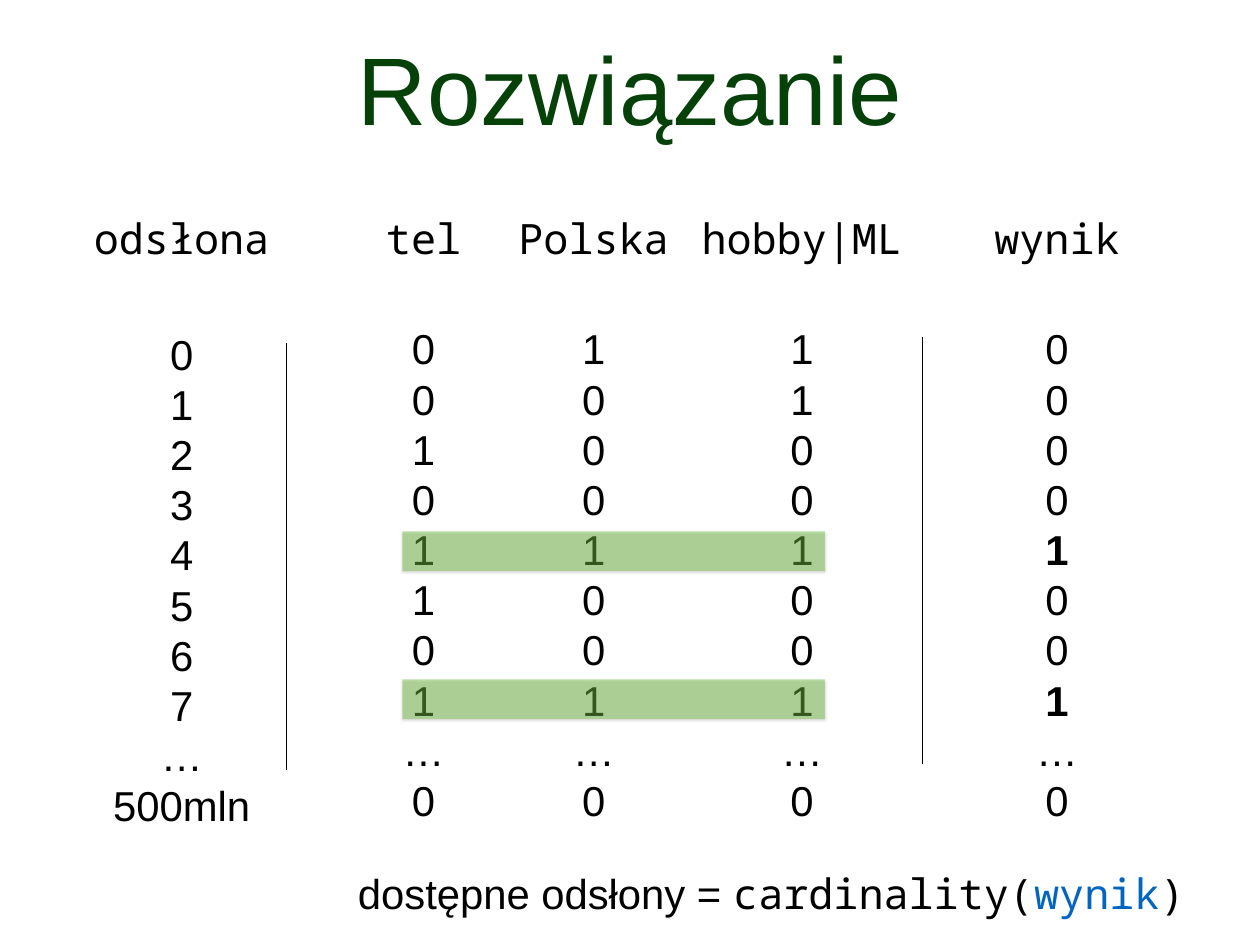
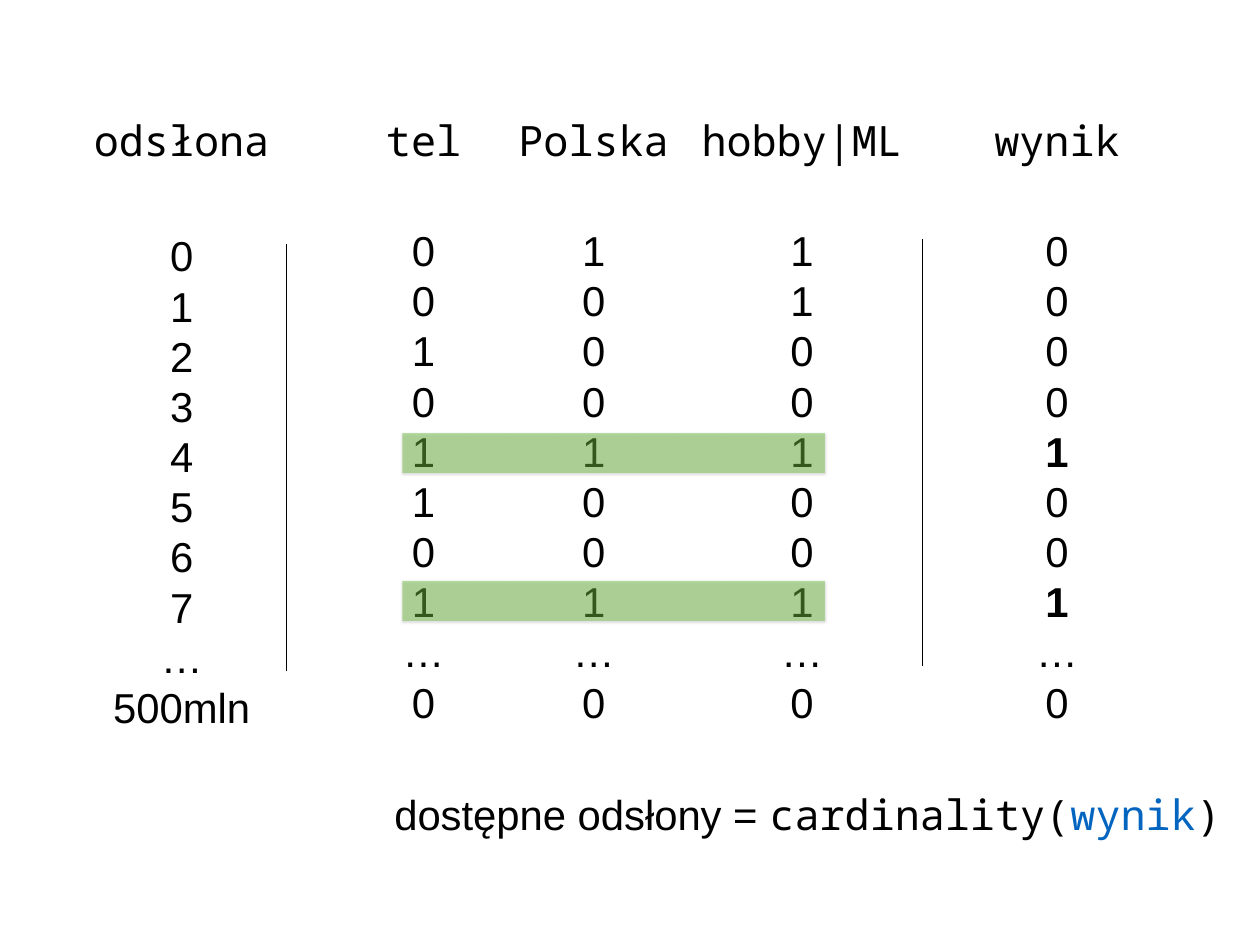
from lxml import etree
from pptx import Presentation, util as u
from pptx.dml.color import RGBColor
from pptx.enum import shapes, text
from pptx.oxml import ns

SANS, MONO = "Arial", "Noto Sans Mono"
BLACK, TITLE, BLUE, GREEN = "000000", "054109", "0365C0", "70BF41"
CENTER, LEFT = text.PP_ALIGN.CENTER, text.PP_ALIGN.LEFT
COLUMNS = [
    ("odsłona", "0 1 2 3 4 5 6 7 … 500mln", 2.05, 2.08, 2.79, 1.27),
    ("tel", "0 0 1 0 1 1 0 1 … 0", 4.78, 0.95, 0.95, 1.21),
    ("Polska", "1 0 0 0 1 0 0 1 … 0", 6.7, 1.8, 0.95, 1.21),
    ("hobby|ML", "1 1 0 0 1 0 0 1 … 0", 9.05, 2.36, 0.95, 1.21),
    ("wynik", "0 0 0 0 1 0 0 1 … 0", 11.93, 1.51, 2.08, 1.21),
]
FORMULA = [("dostępne odsłony = ", {}), ("cardinality(", {"name": MONO}),
           ("wynik", {"name": MONO, "color": BLUE}), (")", {"name": MONO})]


def rgb(value):
    return RGBColor.from_string(value)


def add_xml(parent, tag, **attrs):
    return etree.SubElement(parent, ns.qn(tag), {k: str(v) for k, v in attrs.items()})


class Deck:
    """Slide builder holding the shared style and the current slide."""

    def __init__(self):
        self.prs = Presentation()
        self.prs.slide_width, self.prs.slide_height = u.Inches(14.22), u.Inches(10.67)

    def new_slide(self):
        """Start a blank slide."""
        self.s = self.prs.slides.add_slide(self.prs.slide_layouts[6])

    def text(self, box, lines, align=CENTER, wrap=True, spacing=None, grow=True):
        """Add a text box; each line is a list of (text, font format) runs."""
        tf = self.s.shapes.add_textbox(*map(u.Inches, box)).text_frame
        fit = text.MSO_AUTO_SIZE
        frame = {"word_wrap": wrap, "vertical_anchor": text.MSO_ANCHOR.MIDDLE,
                 "auto_size": fit.SHAPE_TO_FIT_TEXT if grow else fit.NONE}
        frame.update({f"margin_{side}": u.Inches(0.04)
                      for side in ("left", "right", "top", "bottom")})
        for key, value in frame.items():
            setattr(tf, key, value)
        for i, line in enumerate(lines):
            p = tf.add_paragraph() if i else tf.paragraphs[0]
            p.alignment, p.line_spacing = align, spacing
            for words, extra in line:
                r = p.add_run()
                r.text = words
                style = {"name": SANS, "size": u.Pt(34), "color": BLACK, **extra}
                r.font.color.rgb = rgb(style.pop("color"))
                for key, value in style.items():
                    setattr(r.font, key, value)

    def title(self, words):
        """Add the large slide title."""
        style = {"size": u.Pt(78), "color": TITLE}
        self.text((2.56, 0.1, 9.1, 1.77), [[(words, style)]],
                  spacing=u.Pt(93.6), grow=False)

    def column(self, top, heading, values, center, head_w, col_w, drop):
        """Add a heading with its column of values, centred on one axis."""
        self.text((center - head_w / 2, top, head_w, 0.61),
                  [[(heading, {"name": MONO})]], wrap=False)
        lines = [[(v, {"bold": heading == "wynik" and v == "1"})]
                 for v in values.split()]
        self.text((center - col_w / 2, top + drop, col_w, 5.78), lines,
                  spacing=u.Pt(40.8))

    def divider(self, x, top):
        """Add a thin vertical rule."""
        line = self.s.shapes.add_connector(
            shapes.MSO_CONNECTOR.STRAIGHT,
            *map(u.Inches, (x, top + 4.82, x, top)))
        line.line.color.rgb, line.line.width = rgb(BLACK), u.Pt(1)
        add_xml(line._element.spPr, "a:effectLst")

    def band(self, top):
        """Add a translucent band over a matching row."""
        sp = self.s.shapes.add_shape(shapes.MSO_SHAPE.RECTANGLE,
                                     *map(u.Inches, (4.54, top, 4.77, 0.45)))
        sp.fill.solid()
        sp.fill.fore_color.rgb = rgb(GREEN)
        sp.line.fill.background()
        sp.shadow.inherit = False
        spPr = sp._element.spPr
        add_xml(spPr.find(".//" + ns.qn("a:srgbClr")), "a:alpha", val=60000 - 14000)
        shadow = add_xml(spPr.find(ns.qn("a:effectLst")), "a:outerShdw",
                         blurRad=u.Pt(2), dist=u.Pt(1), dir=5400000, rotWithShape=0)
        add_xml(add_xml(shadow, "a:srgbClr", val=BLACK), "a:alpha", val=29000)

    def bitmap_grid(self, top):
        """Add the columns, the dividers and the highlighted rows."""
        for column in COLUMNS:
            self.column(top, *column)
        for x, drop in ((3.23, 1.49), (10.41, 1.43)):
            self.divider(x, top + drop)
        for drop in (3.62, 5.29):
            self.band(top + drop)

    def formula(self, left, top):
        """Add the line that sums up the result."""
        self.text((left, top, 9.55, 0.65), [FORMULA], align=LEFT, wrap=False)


deck = Deck()
for title, grid_top, formula_at in (("Rozwiązanie", 2.38, (4, 9.75)),
                                    (None, 1.27, (4.41, 8.86))):
    deck.new_slide()
    if title:
        deck.title(title)
    deck.bitmap_grid(grid_top)
    deck.formula(*formula_at)
deck.prs.save("out.pptx")
